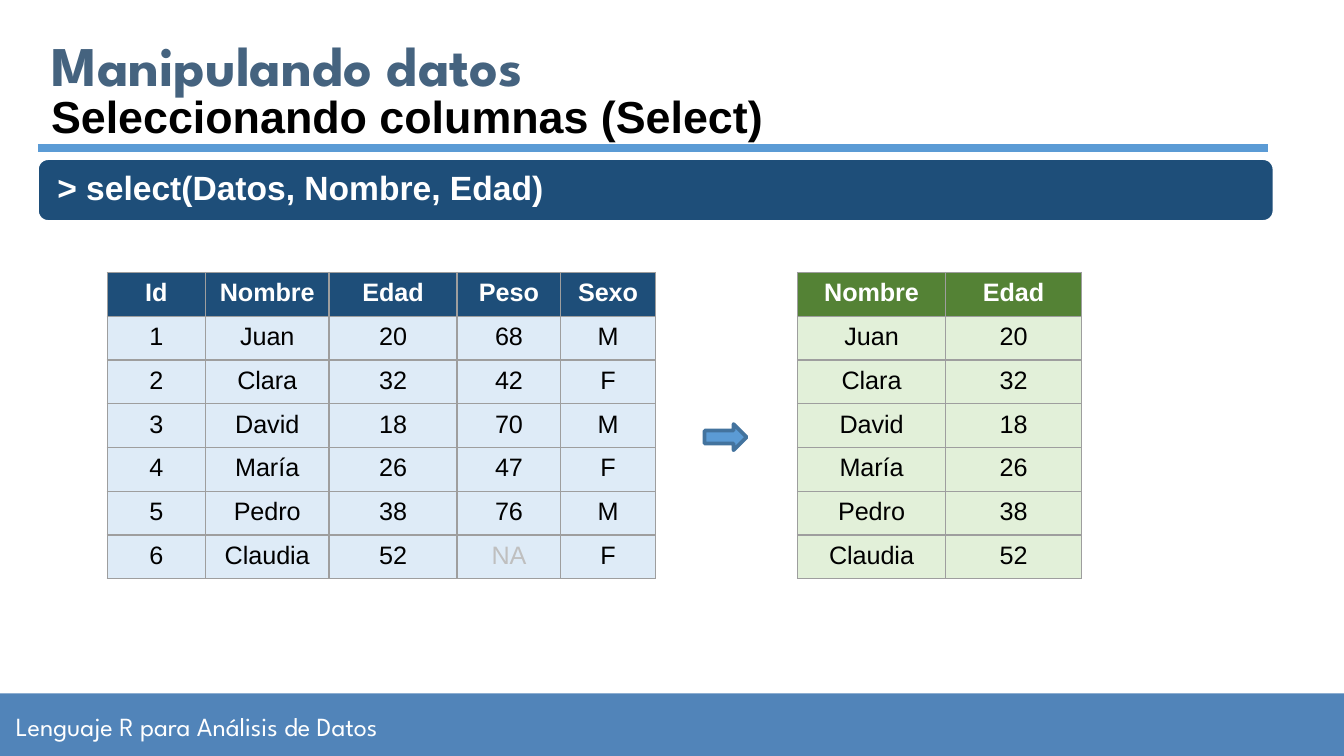
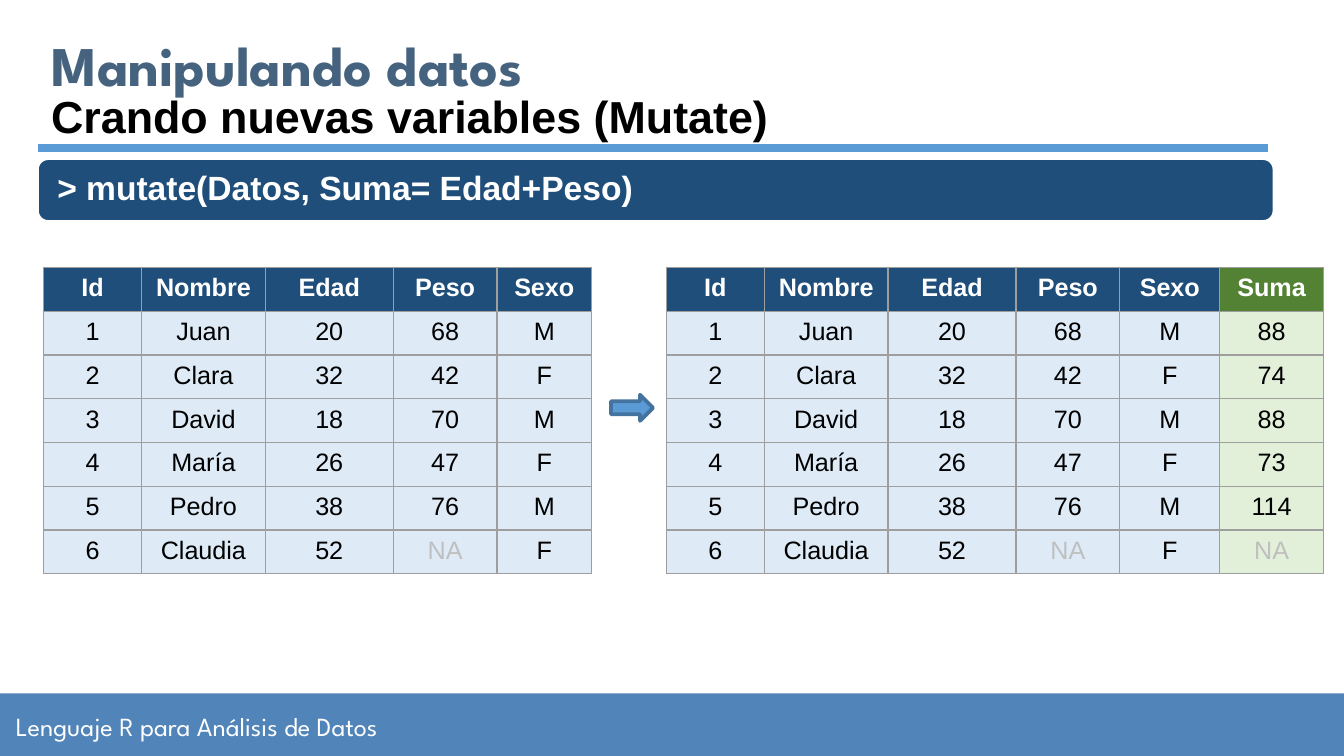
from lxml.etree import SubElement
from pptx import Presentation
from pptx.dml.color import RGBColor
from pptx.enum.shapes import MSO_CONNECTOR as Connector, MSO_SHAPE as Shape
from pptx.enum.text import MSO_ANCHOR as Anchor, MSO_AUTO_SIZE as AutoSize, PP_ALIGN as Align
from pptx.oxml.ns import qn
from pptx.util import Pt

TITLE = "Manipulando datos"
FOOTER = "Lenguaje R para Análisis de Datos"
DATA = {
    "Id": ["1", "2", "3", "4", "5", "6"],
    "Nombre": ["Juan", "Clara", "David", "María", "Pedro", "Claudia"],
    "Edad": ["20", "32", "18", "26", "38", "52"],
    "Peso": ["68", "42", "70", "47", "76", "NA"],
    "Sexo": ["M", "F", "M", "F", "M", "F"],
}
SUMS = [age if weight == "NA" else str(int(age) + int(weight))
        for age, weight in zip(DATA["Edad"], DATA["Peso"])]
SUMS[-1] = "NA"
SELECTED = {name: DATA[name] for name in ("Nombre", "Edad")}
MUTATED = {**DATA, "Suma": SUMS}
DATA_WIDTHS = (52.6, 66.2, 68.6, 55.6, 50.6)

SLIDES = [
    {"subtitle": "Seleccionando columnas (Select)",
     "code": "> select(Datos, Nombre, Edad)",
     "arrow": (377.5, 227.2),
     "table_top": 146,
     "tables": [(57.5, DATA, DATA_WIDTHS, ()),
                (427.2, SELECTED, (79.4, 72.8), ("Nombre", "Edad"))]},
    {"subtitle": "Crando nuevas variables (Mutate)",
     "code": "> mutate(Datos, Suma= Edad+Peso)",
     "arrow": (327.4, 211.5),
     "table_top": 143.3,
     "tables": [(23.3, DATA, DATA_WIDTHS, ()),
                (356.9, MUTATED, DATA_WIDTHS[:4] + (53.6, 55.6), ("Suma",))]},
]

WHITE, BLACK, MISSING, BORDER = "FFFFFF", "000000", "BFBFBF", "9E9E9E"
NAVY, SKY, GREEN, MINT = "1E4E79", "DEEBF7", "548235", "E2F0D9"
BLUE, BLUE_EDGE, BAND, TITLE_COLOR = "5B9BD5", "43739E", "5184B9", "45637F"
LEFT, ROW_HEIGHT = 20.3, 23.45


def color(value):
    """Turn a hex string into a colour."""
    return RGBColor.from_string(value)


def apply(target, formats):
    """Set every attribute named in a dict of format values."""
    for name, value in formats.items():
        setattr(target, name, value)


def write(frame, text, size, ink, bold=True, font="Arial", align=Align.LEFT,
          anchor=Anchor.MIDDLE, inset=(7.2, 7.2), spacing=1.0):
    """Fill a text frame with one formatted paragraph."""
    side, edge = inset
    apply(frame, {"text": text, "word_wrap": True, "auto_size": AutoSize.NONE,
                  "vertical_anchor": anchor,
                  "margin_left": Pt(side), "margin_right": Pt(side),
                  "margin_top": Pt(edge), "margin_bottom": Pt(edge)})
    paragraph = frame.paragraphs[0]
    apply(paragraph, {"alignment": align, "line_spacing": spacing})
    style(paragraph.font, size, ink, bold, font)


def style(font, size, ink, bold, name="Arial"):
    """Set the face, size, weight and colour of a font."""
    apply(font, {"size": Pt(size), "bold": bold, "name": name})
    font.color.rgb = color(ink)


def add_box(slide, kind, place, fill, line=None, width=1):
    """Add a flat preset shape."""
    shape = slide.shapes.add_shape(kind, *map(Pt, place))
    shape.shadow.inherit = False
    shape.fill.solid()
    shape.fill.fore_color.rgb = color(fill)
    if line:
        shape.line.color.rgb = color(line)
        shape.line.width = Pt(width)
    else:
        shape.line.fill.background()
    return shape


def add_footer(slide):
    """Build the footer band and move it to the slide's layout."""
    band = add_box(slide, Shape.RECTANGLE, (0, 371.5, 720, 33.5), BAND)
    label = slide.shapes.add_textbox(*map(Pt, (1.4, 372.2, 357.8, 33.8)))
    write(label.text_frame, FOOTER, 14, WHITE, bold=False, font="League Spartan")
    for shape in (band, label):
        slide.slide_layout.shapes.element.append(shape.element)


def add_heading(slide, subtitle, code):
    """Add the title, subtitle, rule and code panel."""
    title = slide.shapes.title
    apply(title, dict(zip(("left", "top", "width", "height"),
                          map(Pt, (LEFT, 15.8, 474.5, 36.7)))))
    write(title.text_frame, TITLE, 30, TITLE_COLOR, font="League Spartan")

    panel = add_box(slide, Shape.ROUNDED_RECTANGLE, (LEFT, 85.2, 662, 33.2), NAVY, WHITE)
    write(panel.text_frame, code, 18, WHITE, inset=(8.8, 5.8), spacing=0.9)

    box = slide.shapes.add_textbox(*map(Pt, (LEFT, 44.2, 673, 36)))
    write(box.text_frame, subtitle, 24, BLACK, anchor=Anchor.TOP, inset=(7.2, 3.6))

    rule = slide.shapes.add_connector(Connector.STRAIGHT, *map(Pt, (LEFT, 79.2, 679.2, 79.2)))
    rule.line.color.rgb = color(BLUE)
    rule.line.width = Pt(4.5)
    SubElement(rule.element.spPr, qn("a:effectLst"))


def add_borders(cell):
    """Draw a thin grey line on all four sides of a cell."""
    properties = cell._tc.get_or_add_tcPr()
    for side in ("lnL", "lnR", "lnT", "lnB"):
        line = SubElement(properties, qn(f"a:{side}"), w=str(Pt(0.75)))
        fill = SubElement(line, qn("a:solidFill"))
        SubElement(fill, qn("a:srgbClr"), val=BORDER)


def add_table(slide, left, top, columns, widths, green_names):
    """Add a data table whose named columns are green."""
    row_count = len(columns["Nombre"]) + 1
    frame = slide.shapes.add_table(row_count, len(columns), Pt(left), Pt(top),
                                   Pt(sum(widths)), Pt(ROW_HEIGHT * row_count))
    table = frame.table
    apply(table, {"first_row": False, "horz_banding": False})
    for row in table.rows:
        row.height = Pt(ROW_HEIGHT)
    for index, (name, values) in enumerate(columns.items()):
        table.columns[index].width = Pt(widths[index])
        head_fill, body_fill = (GREEN, MINT) if name in green_names else (NAVY, SKY)
        for number, text in enumerate([name, *values]):
            cell = table.cell(number, index)
            header = number == 0
            add_borders(cell)
            cell.fill.solid()
            cell.fill.fore_color.rgb = color(head_fill if header else body_fill)
            apply(cell, {"text": text, "margin_left": Pt(7.2), "margin_right": Pt(7.2),
                         "margin_top": Pt(3.6), "margin_bottom": Pt(3.6)})
            paragraph = cell.text_frame.paragraphs[0]
            paragraph.alignment = Align.CENTER
            ink = WHITE if header else MISSING if text == "NA" else BLACK
            style(paragraph.runs[0].font, 13.5, ink, header)


def main():
    """Build both slides and save them."""
    presentation = Presentation()
    apply(presentation, {"slide_width": Pt(720), "slide_height": Pt(405)})
    layout = presentation.slide_layouts[5]
    for number, content in enumerate(SLIDES):
        slide = presentation.slides.add_slide(layout)
        if number == 0:
            add_footer(slide)
        add_heading(slide, content["subtitle"], content["code"])
        for left, columns, widths, green_names in content["tables"]:
            add_table(slide, left, content["table_top"], columns, widths, green_names)
        add_box(slide, Shape.RIGHT_ARROW, (*content["arrow"], 22.5, 14), BLUE, BLUE_EDGE, 2)
    presentation.save("out.pptx")


if __name__ == "__main__":
    main()
